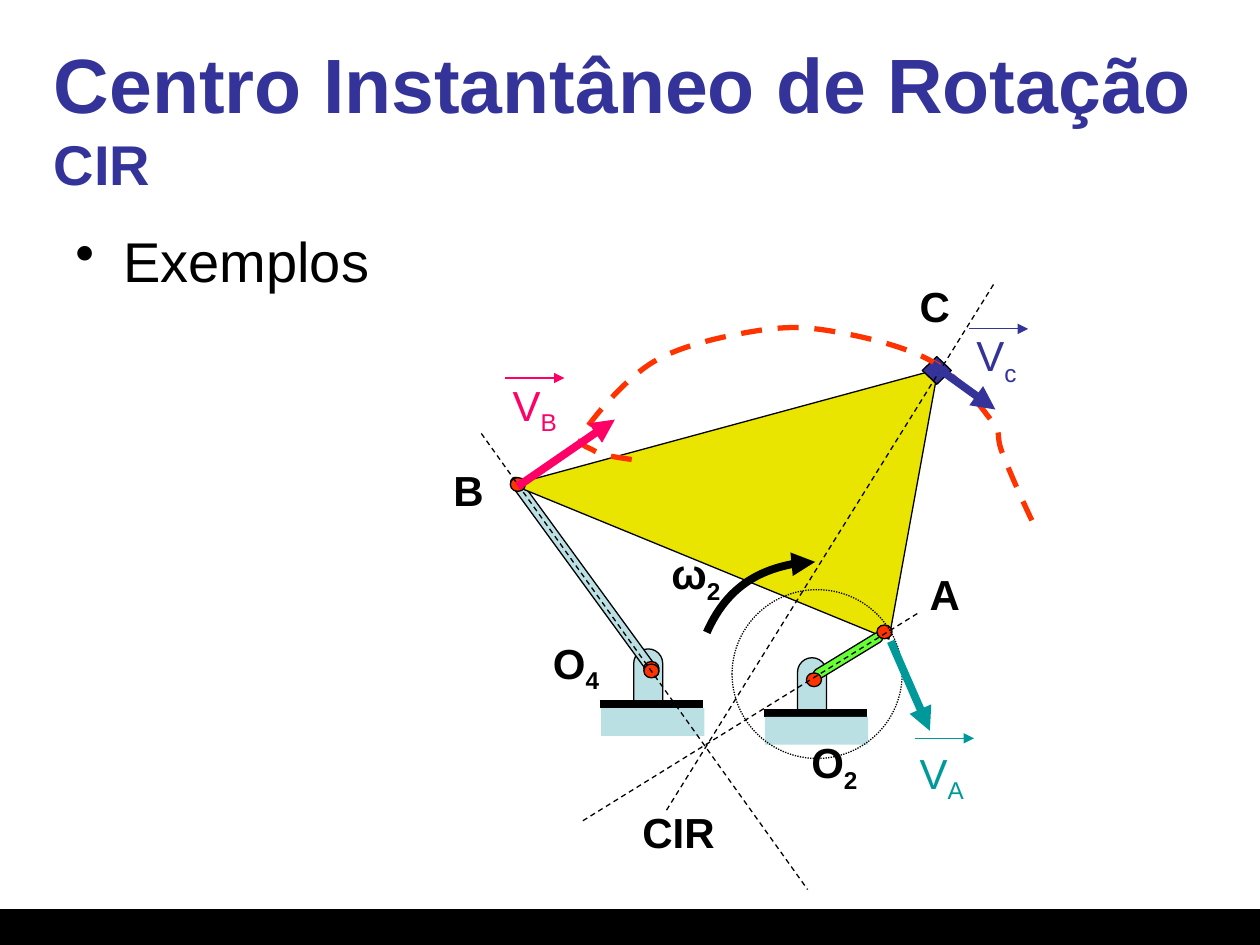
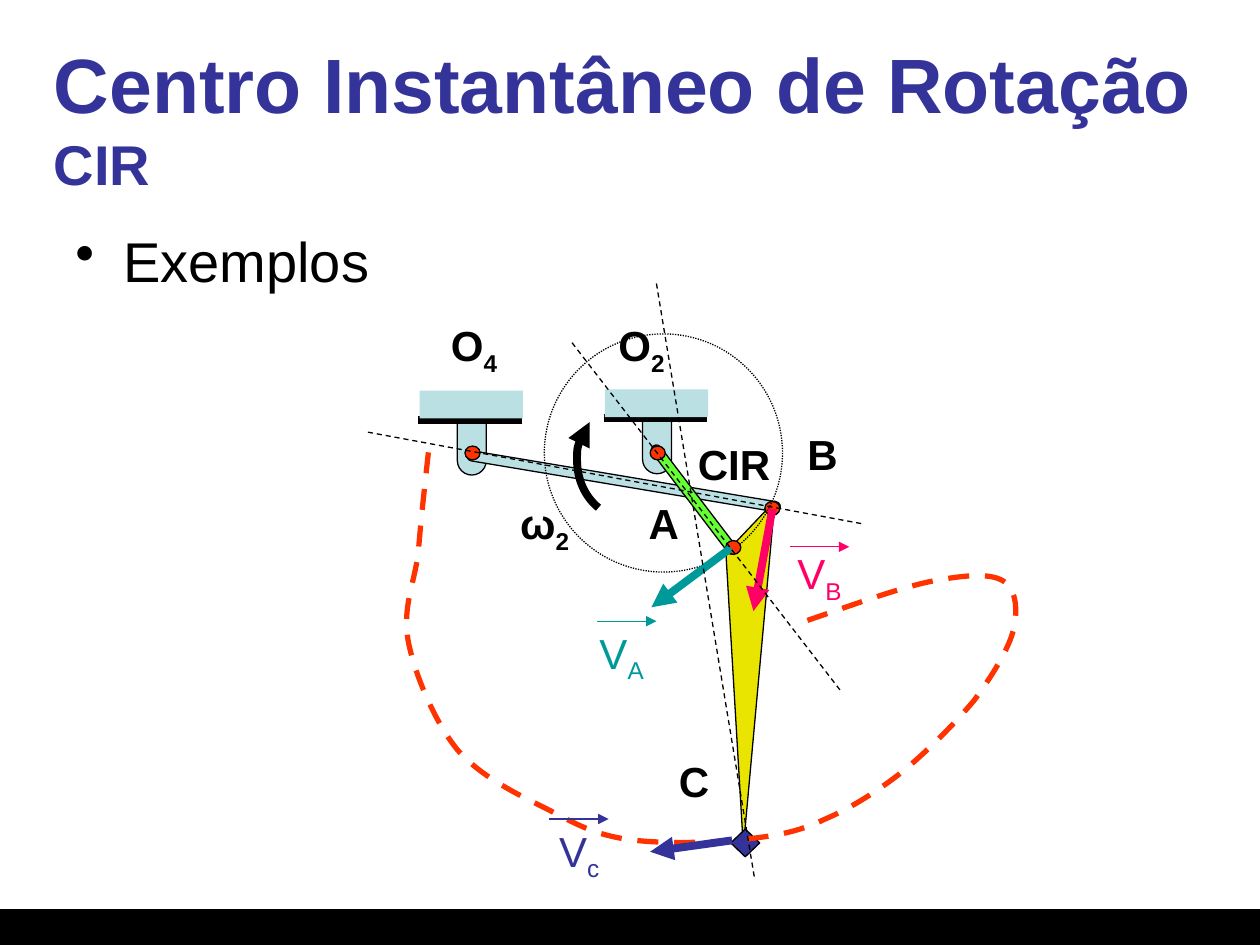
from lxml import etree
from pptx import Presentation
from pptx.dml.color import RGBColor
from pptx.enum.dml import MSO_LINE
from pptx.enum.shapes import MSO_CONNECTOR, MSO_SHAPE
from pptx.enum.text import MSO_ANCHOR, MSO_AUTO_SIZE
from pptx.oxml.ns import qn
from pptx.util import Inches, Pt

RECT, ROUNDED = MSO_SHAPE.RECTANGLE, MSO_SHAPE.ROUNDED_RECTANGLE
OVAL, DIAMOND = MSO_SHAPE.OVAL, MSO_SHAPE.DIAMOND
TRIANGLE = MSO_SHAPE.ISOSCELES_TRIANGLE
STRAIGHT = MSO_CONNECTOR.STRAIGHT
DASH, DOT = MSO_LINE.DASH, MSO_LINE.ROUND_DOT
MIDDLE, GROW = MSO_ANCHOR.MIDDLE, MSO_AUTO_SIZE.SHAPE_TO_FIT_TEXT
FONT = "Arial"
THIN, THICK = 0.75, 4.5
COLORS = {
    "black": "000000", "navy": "333399", "steel": "BBE0E3", "joint": "FF3300",
    "coupler": "E9E400", "crank": "66FF33", "teal": "009999", "pink": "FF0066",
}
LABEL_WIDTHS = {"A": 0.44, "B": 0.44, "C": 0.44, "CIR": 0.78, "O": 0.58, "V": 0.57, "ω": 0.6}


class MechanismDeck:
    """Draws planar mechanisms and their velocity vectors on titled slides."""

    def __init__(self):
        self.deck = Presentation()
        self.deck.slide_width, self.deck.slide_height = Inches(10), Inches(7.5)
        self.shapes = None

    def new_slide(self):
        self.shapes = self.deck.slides.add_slide(self.deck.slide_layouts[6]).shapes
        self.body(RECT, 0, 7.22, 10, 0.28, "black")
        title = self.text_frame(0.33, 0.3, 9.33, 1.25)
        title.vertical_anchor = MIDDLE
        title.text = "Centro Instantâneo de Rotação\vCIR"
        for run, size in zip(title.paragraphs[0].runs, (44, 32)):
            self.format_run(run, size, "navy", True)
        topic = self.text_frame(0.5, 1.75, 8.83, 0.82).paragraphs[0]
        topic.text = "Exemplos"
        topic.space_before = Pt(6.4)
        self.format_run(topic.runs[0], 32, "black", False)
        properties = topic._p.get_or_add_pPr()
        properties.set("marL", str(Inches(0.38)))
        properties.set("indent", str(Inches(-0.38)))
        etree.SubElement(properties, qn("a:buChar")).set("char", "•")

    def text_frame(self, x, y, width, height):
        frame = self.shapes.add_textbox(*map(Inches, (x, y, width, height))).text_frame
        frame.word_wrap = True
        return frame

    def format_run(self, run, size, color, bold):
        run.font.name, run.font.size, run.font.bold = FONT, Pt(size), bold
        run.font.color.rgb = RGBColor.from_string(COLORS[color])

    def style_line(self, line, color, width, dash=None, arrow=False):
        line.color.rgb = RGBColor.from_string(COLORS[color])
        line.width = Pt(width)
        if dash:
            line.dash_style = dash
        if arrow:
            etree.SubElement(line._get_or_add_ln(), qn("a:tailEnd")).set("type", "triangle")

    def body(self, kind, x, y, width, height, color=None, rotation=0, adjust=None,
             outlined=True, dash=None):
        piece = self.shapes.add_shape(kind, *map(Inches, (x, y, width, height)))
        piece.shadow.inherit = False
        piece.rotation = rotation
        if adjust is not None:
            piece.adjustments[0] = adjust
        if color:
            piece.fill.solid()
            piece.fill.fore_color.rgb = RGBColor.from_string(COLORS[color])
        else:
            piece.fill.background()
        if outlined:
            self.style_line(piece.line, "black", THIN, dash)
        else:
            piece.line.fill.background()

    def line(self, start, end, color="black", width=THIN, dash=None, arrow=False):
        stroke = self.shapes.add_connector(STRAIGHT, *map(Inches, (*start, *end)))
        self.style_line(stroke.line, color, width, dash, arrow)
        etree.SubElement(stroke._element.spPr, qn("a:effectLst"))

    def curve(self, points, color, width, dash=None, arrow=False):
        start, *rest = [(Inches(x), Inches(y)) for x, y in points]
        builder = self.shapes.build_freeform(*start)
        builder.add_line_segments(rest, close=False)
        stroke = builder.convert_to_shape()
        stroke.shadow.inherit = False
        stroke.fill.background()
        self.style_line(stroke.line, color, width, dash, arrow)
        segments = list(stroke._element.spPr.iter(qn("a:lnTo")))
        outline = segments[0].getparent()
        for first in range(0, len(segments), 3):
            bezier = etree.SubElement(outline, qn("a:cubicBezTo"))
            for segment in segments[first:first + 3]:
                bezier.append(segment[0])
                outline.remove(segment)

    def label(self, text, x, y, subscript="", color="black", bold=True):
        frame = self.text_frame(x, y, LABEL_WIDTHS[text], 0.5)
        frame.word_wrap, frame.auto_size = False, GROW
        paragraph = frame.paragraphs[0]
        paragraph.text = text
        if subscript:
            paragraph.add_run().text = subscript
        for run in paragraph.runs:
            self.format_run(run, 24, color, bold)
        if subscript:
            paragraph.runs[1].font._element.set("baseline", "-25000")

    def bar(self, x, y, length, rotation, color="steel"):
        self.body(ROUNDED, x, y, 0.08, length, color, rotation, 0.5)

    def joint(self, x, y):
        self.body(OVAL, x, y, 0.12, 0.11, "joint")

    def slider(self, x, y):
        self.body(DIAMOND, x, y, 0.23, 0.22, "navy")

    def support(self, x, y, hanging=False):
        ground_x, ground_y, block_x, block_y = (
            (-0.31, 0.21, -0.3, -0.02) if hanging else (-0.27, 0.44, -0.26, 0.47))
        self.body(ROUNDED, x, y, 0.23, 0.65, "steel", adjust=0.5)
        left, level = x + ground_x, y + ground_y
        self.line((left, level), (left + 0.82, level), width=THICK)
        self.body(RECT, x + block_x, y + block_y, 0.82, 0.22, "steel", outlined=False)

    def vector(self, point, color, start, end, label_at, overline_at):
        self.line(start, end, color, THICK, arrow=True)
        self.label("V", *label_at, point, color, False)
        x, y = overline_at
        self.line((x, y), (x + 0.47, y), color, arrow=True)

    def axes(self, *ends):
        for start, end in ends:
            self.line(start, end, dash=DASH)


mechanism = MechanismDeck()

mechanism.new_slide()
mechanism.support(5.03, 5.15)
mechanism.bar(4.6, 3.61, 1.94, 143.9)
mechanism.joint(5.11, 5.25)
mechanism.joint(5.11, 5.27)
mechanism.support(6.33, 5.22)
mechanism.body(TRIANGLE, 4.35, 2.41, 3.23, 2.13, "coupler", 22.3, 0.86)
mechanism.joint(4.05, 3.79)
mechanism.bar(6.69, 4.89, 0.63, 238.6, "crank")
mechanism.joint(6.4, 5.34)
mechanism.joint(6.96, 4.96)
mechanism.slider(7.32, 2.83)
mechanism.body(OVAL, 5.81, 4.68, 1.35, 1.34, dash=DOT)
mechanism.curve([
    (8.19, 4.13), (8.09, 3.92), (8, 3.71), (7.95, 3.58), (7.9, 3.44), (7.96, 3.46),
    (7.87, 3.34), (7.78, 3.22), (7.61, 2.99), (7.4, 2.87), (7.19, 2.75), (6.85, 2.67),
    (6.61, 2.63), (6.38, 2.59), (6.22, 2.59), (5.98, 2.63), (5.74, 2.67), (5.41, 2.74),
    (5.19, 2.87), (4.97, 3), (4.72, 3.3), (4.64, 3.42), (4.56, 3.54), (4.66, 3.54),
    (4.72, 3.58), (4.78, 3.62), (4.98, 3.64), (5.03, 3.65),
], "joint", 3, DASH)
mechanism.curve([(5.61, 5.02), (5.76, 4.68), (6.1, 4.46), (6.47, 4.46)],
                "black", THICK, arrow=True)
mechanism.label("ω", 5.23, 4.3, "2")
mechanism.label("O", 4.29, 5.01, "4")
mechanism.label("O", 6.34, 5.8, "2")
mechanism.label("A", 7.28, 4.46)
mechanism.label("B", 3.5, 3.64)
mechanism.label("C", 7.2, 2.18)
mechanism.axes(((3.82, 3.44), (6.41, 7.06)), ((7.28, 4.87), (4.6, 6.53)),
               ((5.29, 6.43), (7.89, 2.25)))
mechanism.label("CIR", 5, 6.35)
mechanism.vector("A", "teal", (7.07, 5.09), (7.38, 5.8), (7.2, 5.88), (7.26, 5.86))
mechanism.vector("B", "pink", (4.11, 3.86), (4.88, 3.33), (3.97, 2.96), (4.01, 3))
mechanism.vector("c", "navy", (7.4, 2.89), (7.9, 3.25), (7.65, 2.57), (7.69, 2.61))

mechanism.new_slide()
mechanism.support(3.63, 3.12, hanging=True)
mechanism.bar(4.91, 2.56, 2.52, 99.5)
mechanism.body(TRIANGLE, 4.47, 5.16, 2.76, 0.35, "coupler", 275.2, 0.84)
mechanism.slider(5.8, 6.58)
mechanism.support(5.1, 3.11, hanging=True)
mechanism.bar(5.47, 3.43, 1.07, 322.7, "crank")
mechanism.joint(5.16, 3.54)
mechanism.joint(6.07, 3.98)
mechanism.body(OVAL, 4.32, 2.65, 1.89, 1.89, dash=DOT)
mechanism.joint(5.76, 4.29)
mechanism.joint(3.69, 3.54)
mechanism.curve([
    (3.4, 3.59), (3.37, 3.86), (3.34, 4.13), (3.32, 4.38), (3.29, 4.63), (3.19, 4.82),
    (3.24, 5.09), (3.29, 5.35), (3.45, 5.73), (3.63, 5.95), (3.82, 6.17), (4.12, 6.31),
    (4.34, 6.42), (4.57, 6.54), (4.71, 6.62), (4.97, 6.66), (5.23, 6.7), (5.65, 6.69),
    (5.92, 6.66), (6.18, 6.63), (6.34, 6.6), (6.55, 6.5), (6.76, 6.41), (6.98, 6.27),
    (7.18, 6.11), (7.37, 5.95), (7.58, 5.74), (7.73, 5.56), (7.87, 5.37), (8, 5.16),
    (8.04, 5.01), (8.08, 4.85), (8.07, 4.68), (7.96, 4.61), (7.86, 4.55), (7.68, 4.56),
    (7.41, 4.61), (7.15, 4.66), (6.77, 4.8), (6.39, 4.93),
], "joint", 3, DASH)
mechanism.curve([
    (4.75, 4.03), (4.64, 3.94), (4.58, 3.8), (4.58, 3.65), (4.58, 3.54), (4.61, 3.44),
    (4.68, 3.35),
], "black", THICK, arrow=True)
mechanism.label("ω", 4.03, 3.9, "2")
mechanism.vector("A", "teal", (5.8, 4.35), (5.17, 4.82), (4.66, 4.93), (4.74, 4.93))
mechanism.vector("B", "pink", (6.13, 4.04), (5.98, 4.85), (6.23, 4.3), (6.27, 4.34))
mechanism.label("O", 4.81, 2.49, "2")
mechanism.label("O", 3.48, 2.49, "4")
mechanism.label("A", 5.05, 3.9)
mechanism.label("B", 6.31, 3.35)
mechanism.label("C", 5.29, 5.95)
mechanism.vector("c", "navy", (5.81, 6.67), (5.16, 6.76), (4.34, 6.5), (4.36, 6.5))
mechanism.axes(((2.92, 3.43), (6.86, 4.16)), ((4.54, 2.72), (6.67, 5.48)),
               ((5.21, 2.25), (5.99, 6.98)))
mechanism.label("CIR", 5.44, 3.43)

mechanism.deck.save("out.pptx")
